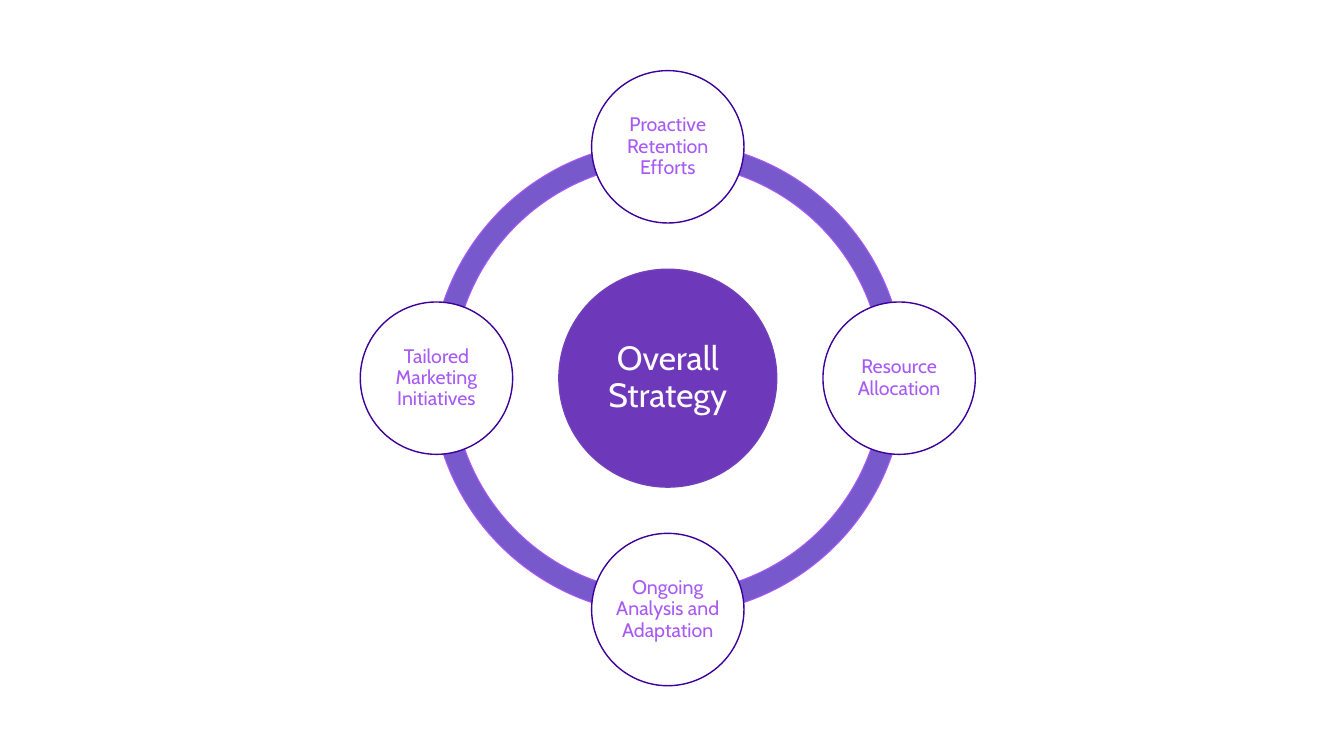
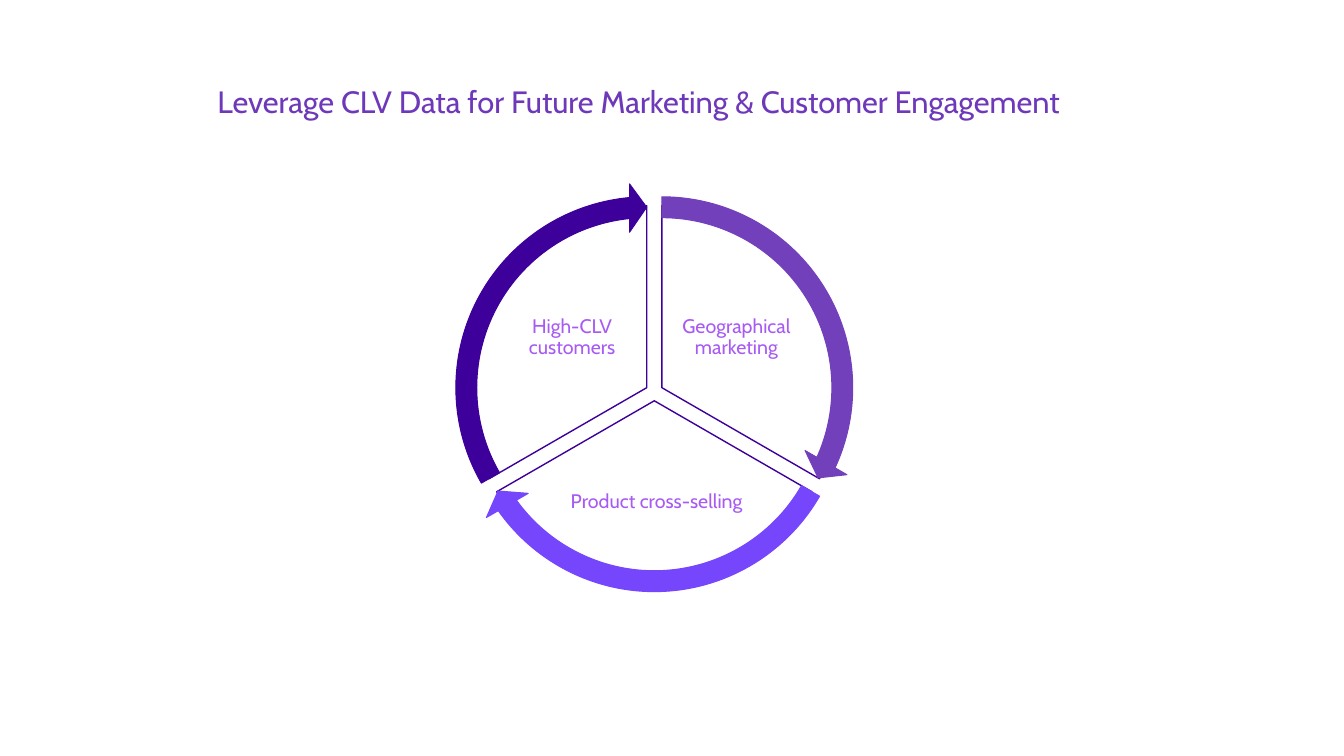
from math import cos, radians, sin

from pptx import Presentation
from pptx.dml.color import RGBColor
from pptx.enum.shapes import MSO_SHAPE as Preset
from pptx.enum.text import MSO_ANCHOR as Anchor, MSO_AUTO_SIZE as AutoSize, PP_ALIGN as Align
from pptx.util import Cm, Pt

WHITE = RGBColor(0xFF, 0xFF, 0xFF)
OFF_WHITE = RGBColor(0xFF, 0xFB, 0xFF)
PURPLE = RGBColor(0x6D, 0x38, 0xB9)
MID_PURPLE = RGBColor(0x73, 0x40, 0xBB)
RING_PURPLE = RGBColor(0x77, 0x59, 0xCB)
LILAC = RGBColor(0xA7, 0x5A, 0xF4)
VIOLET = RGBColor(0x76, 0x46, 0xFD)
INDIGO = RGBColor(0x3E, 0x00, 0x9A)

FONT = "Cabin"
LABEL_SIZE = 14
ANGLE_UNIT = 0.6  # adjustment value of one degree
HEAD_ANGLE = 5.46

CENTRED_FRAME = {
    "word_wrap": True,
    "vertical_anchor": Anchor.MIDDLE,
    "margin_left": Cm(0.05),
    "margin_right": Cm(0.05),
    "margin_top": Cm(0.05),
    "margin_bottom": Cm(0.05),
}
CENTRED_PARA = {"alignment": Align.CENTER, "line_spacing": 0.9}
TITLE_FRAME = {"word_wrap": True, "auto_size": AutoSize.SHAPE_TO_FIT_TEXT}


def apply_format(target, values):
    for name, value in values.items():
        setattr(target, name, value)


def write_text(box, text, size, colour, frame_format=CENTRED_FRAME, para_format=CENTRED_PARA):
    frame = box.text_frame
    apply_format(frame, frame_format)
    para = frame.paragraphs[0]
    apply_format(para, para_format)
    span = para.add_run()
    span.text = text
    apply_format(span.font, {"name": FONT, "size": Pt(size)})
    span.font.color.rgb = colour


def add_text(page, place, text, size, colour, **formats):
    box = page.shapes.add_textbox(*map(Cm, place))
    write_text(box, text, size, colour, **formats)


def polar(centre, radius, degrees):
    """Return the point at a clockwise angle from the right of the centre."""
    x, y = centre
    return x + radius * cos(radians(degrees)), y + radius * sin(radians(degrees))


def add_round(page, preset, centre, diameter, fill, line, width=1, adjustments=()):
    """Add a preset shape in a square frame around its centre."""
    x, y = centre
    shape = page.shapes.add_shape(
        preset, Cm(x - diameter / 2), Cm(y - diameter / 2), Cm(diameter), Cm(diameter))
    for index, value in enumerate(adjustments):
        shape.adjustments[index] = value
    shape.shadow.inherit = False
    shape.fill.solid()
    shape.fill.fore_color.rgb = fill
    shape.line.color.rgb = line
    shape.line.width = Pt(width)
    return shape


def build_strategy_page(page):
    centre = 16.83, 9.53
    for start in (180, 90, 0, 270):
        angles = [start * ANGLE_UNIT, (start + 90) % 360 * ANGLE_UNIT]
        add_round(page, Preset.BLOCK_ARC, centre, 11.94, RING_PURPLE, LILAC, 0.75,
                  angles + [0.046])

    hub = add_round(page, Preset.OVAL, centre, 5.49, PURPLE, MID_PURPLE)
    write_text(hub, "Overall Strategy", 24, OFF_WHITE)

    nodes = ("Proactive Retention Efforts", "Resource Allocation",
             "Ongoing Analysis and Adaptation", "Tailored Marketing Initiatives")
    for index, text in enumerate(nodes):
        spot = polar(centre, 5.83, 90 * index - 90)
        node = add_round(page, Preset.OVAL, spot, 3.84, WHITE, INDIGO)
        write_text(node, text, LABEL_SIZE, LILAC)


def build_cycle_page(page):
    add_text(page, (5.23, 1.96, 24.03, 1.19),
             "Leverage CLV Data for Future Marketing & Customer Engagement", 22, PURPLE,
             frame_format=TITLE_FRAME, para_format={})

    segments = (
        ("Geographical marketing", (16.92, 7.14, 3.28, 2.72), MID_PURPLE),
        ("Product cross-selling", (14.1, 11.46, 4.9, 2.41), VIOLET),
        ("High-CLV customers", (12.78, 7.14, 3.28, 2.72), INDIGO),
    )
    arrows = []
    for index, (text, place, colour) in enumerate(segments):
        start = (270 + 120 * index) % 360
        end = (start + 120) % 360
        centre = polar((16.49, 9.88), 0.22, start + 60)
        add_round(page, Preset.PIE, centre, 9.17, WHITE, INDIGO,
                  adjustments=(start * ANGLE_UNIT, end * ANGLE_UNIT))
        add_text(page, place, text, LABEL_SIZE, LILAC)
        arrows.append((centre, colour, start, end))

    for centre, colour, start, end in arrows:
        add_round(page, Preset.CIRCULAR_ARROW, centre, 10.31, colour, colour, 0.75,
                  (0.051, HEAD_ANGLE * ANGLE_UNIT, (end - HEAD_ANGLE) * ANGLE_UNIT,
                   start * ANGLE_UNIT, 0.059))


def main():
    deck = Presentation()
    deck.slide_width, deck.slide_height = Cm(33.87), Cm(19.05)
    blank = deck.slide_layouts[6]
    for build in (build_strategy_page, build_cycle_page):
        build(deck.slides.add_slide(blank))
    deck.save("out.pptx")


if __name__ == "__main__":
    main()
